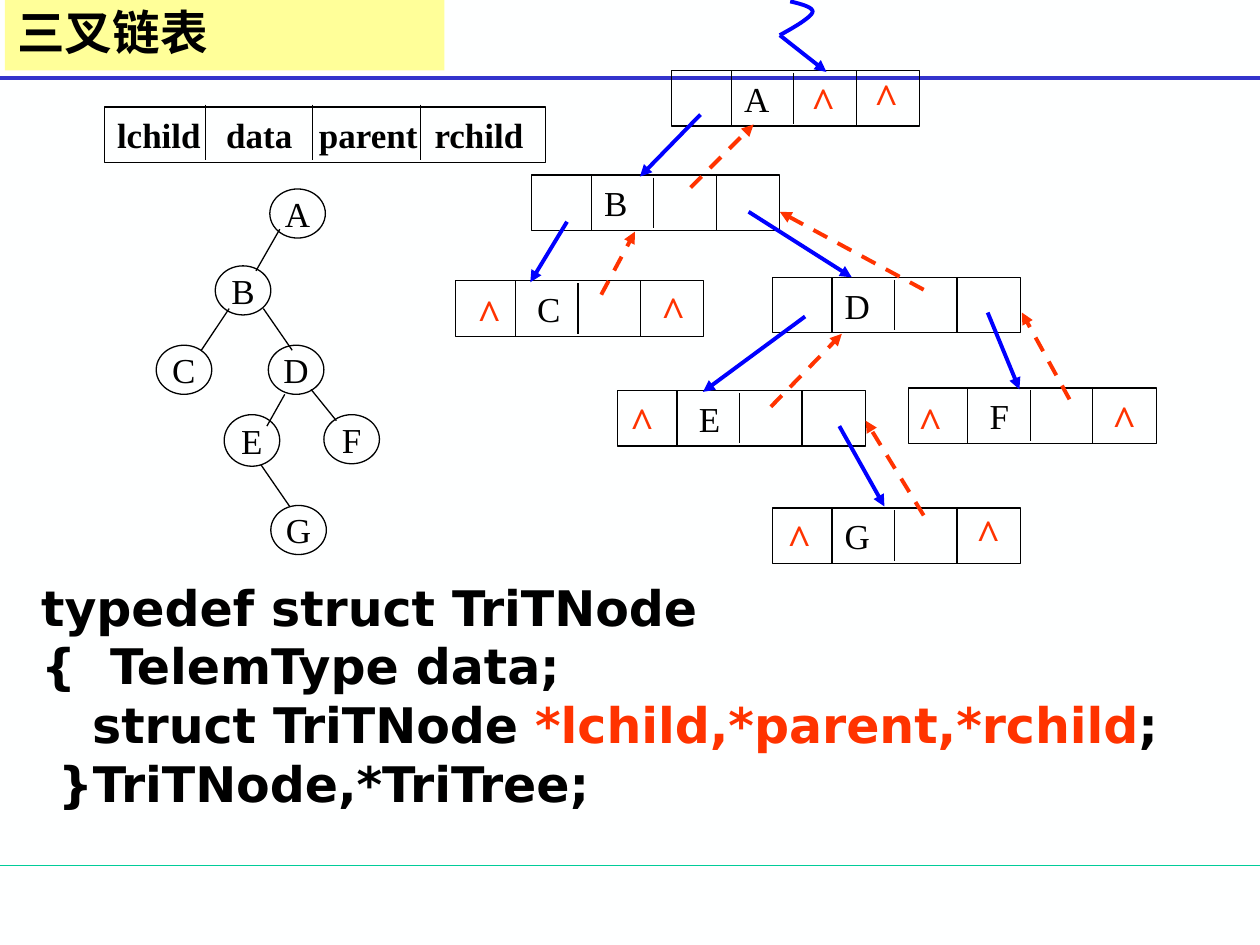
import dataclasses

import lxml.etree
import pptx
import pptx.dml.color
import pptx.enum.dml
import pptx.enum.shapes
import pptx.enum.text
import pptx.oxml.ns
import pptx.util

Cm = pptx.util.Cm
Pt = pptx.util.Pt
ALIGN = pptx.enum.text.PP_ALIGN
ANCHOR = pptx.enum.text.MSO_ANCHOR
SHAPE = pptx.enum.shapes.MSO_SHAPE


@dataclasses.dataclass(frozen=True)
class Theme:
    background: str = "FEFFFF"
    ink: str = "000000"
    title_fill: str = "FFFF99"
    title_rule: str = "3333CC"
    footer_rule: str = "00CC99"
    child: str = "0000FF"
    parent: str = "FF3300"
    serif: str = "Times New Roman"
    sans: str = "DejaVu Sans"
    chinese: str = "Noto Sans CJK SC"
    title_size: float = 27.2
    label_size: float = 20
    null_size: float = 24
    code_size: float = 28
    thin: float = 0.75
    thick: float = 2.25


THEME = Theme()

# letter: (left, top, height)
TREE_NODES = {
    "A": (5.44, 3.81, 0.99), "B": (4.34, 5.36, 0.99), "C": (3.15, 6.96, 0.99),
    "D": (5.41, 6.96, 0.99), "E": (4.52, 8.36, 1.04), "F": (6.53, 8.36, 0.99),
    "G": (5.46, 10.19, 0.99),
}
TREE_EDGES = [
    (5.64, 4.62, 5.16, 5.46), (4.62, 6.22, 4.06, 7.06), (5.31, 6.22, 5.89, 7.06),
    (5.74, 7.95, 5.38, 8.59), (6.27, 7.85, 6.78, 8.48), (5.26, 9.37, 5.84, 10.21),
]
# letter: (left, top, letter inset)
LIST_NODES = {
    "A": (13.54, 1.42, 1.46), "B": (10.72, 3.53, 1.46), "C": (9.19, 5.66, 1.64),
    "D": (15.57, 5.59, 1.46), "E": (12.45, 7.87, 1.64), "F": (18.31, 7.82, 1.64),
    "G": (15.57, 10.24, 1.46),
}
NULL_MARKS = [
    (16.1, 1.4), (17.37, 1.32), (9.37, 5.66), (13.08, 5.61), (12.45, 7.85),
    (18.26, 7.85), (22.17, 7.8), (15.62, 10.21), (19.43, 10.11),
]
CHILD_ARROWS = [
    (14.12, 2.31, 12.9, 3.56), (11.43, 4.47, 10.69, 5.69), (16.23, 6.38, 14.17, 7.9),
    (15.09, 4.27, 17.17, 5.59), (19.91, 6.3, 20.55, 7.85), (16.92, 8.59, 17.83, 10.21),
    (15.72, 0.71, 16.66, 1.45),
]
PARENT_ARROWS = [
    (13.92, 3.78, 15.19, 2.51), (12.12, 5.94, 12.8, 4.67), (18.62, 5.84, 15.72, 4.27),
    (15.54, 8.2, 16.97, 6.73), (18.62, 10.39, 17.45, 8.48), (21.56, 8.05, 20.6, 6.3),
]
ROOT_CURVE = [
    [(15.93, 0.03), (16.15, 0.08), (16.41, 0.15), (16.38, 0.25)],
    [(16.38, 0.25), (16.33, 0.38), (15.85, 0.64), (15.72, 0.71)],
]


def rgb(color):
    return pptx.dml.color.RGBColor.from_string(color)


def add_xml(parent, tag, **attributes):
    return lxml.etree.SubElement(parent, pptx.oxml.ns.qn(tag), **attributes)


def add_run(paragraph, text, size, font, color=THEME.ink, bold=False):
    run = paragraph.add_run()
    run.text = text
    run.font.size = Pt(size)
    run.font.name = font
    run.font.bold = bold
    run.font.color.rgb = rgb(color)
    add_xml(run.font._element, "a:ea", typeface=font)


def add_box(slide, kind, left, top, width, height, fill=None, line=THEME.ink):
    shape = slide.shapes.add_shape(kind, Cm(left), Cm(top), Cm(width), Cm(height))
    shape.shadow.inherit = False
    if fill:
        shape.fill.solid()
        shape.fill.fore_color.rgb = rgb(fill)
    else:
        shape.fill.background()
    if line:
        shape.line.color.rgb = rgb(line)
        shape.line.width = Pt(THEME.thin)
    else:
        shape.line.fill.background()
    return shape


def first_paragraph(shape, align=ALIGN.LEFT, anchor=ANCHOR.MIDDLE, wrap=False):
    """Set up the text frame and return its first paragraph."""
    frame = shape.text_frame
    frame.word_wrap = wrap
    frame.vertical_anchor = anchor
    frame.paragraphs[0].alignment = align
    return frame.paragraphs[0]


def add_line(slide, ends, color=THEME.ink, width=THEME.thin, arrow=False, dashed=False):
    connector = slide.shapes.add_connector(
        pptx.enum.shapes.MSO_CONNECTOR.STRAIGHT, *map(Cm, ends))
    connector.line.color.rgb = rgb(color)
    connector.line.width = Pt(width)
    if dashed:
        connector.line.dash_style = pptx.enum.dml.MSO_LINE.DASH
    if arrow:
        add_xml(connector.line._get_or_add_ln(), "a:tailEnd", type="triangle")
    add_xml(connector._element.spPr, "a:effectLst")


def add_title(slide):
    box = add_box(slide, SHAPE.RECTANGLE, 0.1, 0, 8.86, 1.42, THEME.title_fill, None)
    paragraph = first_paragraph(box, wrap=True)
    paragraph.line_spacing = 0.9
    add_run(paragraph, "三叉链表", THEME.title_size, THEME.chinese, bold=True)


def add_tree_node(slide, letter, left, top, height):
    circle = add_box(slide, SHAPE.OVAL, left, top, 1.12, height)
    add_run(first_paragraph(circle, ALIGN.CENTER), letter, THEME.label_size, THEME.serif)


def add_list_node(slide, letter, left, top, inset):
    box = add_box(slide, SHAPE.RECTANGLE, left, top, 5, 1.12)
    box.text_frame.margin_left = Cm(inset)
    add_run(first_paragraph(box), letter, THEME.label_size, THEME.serif)
    for offset, gap in ((1.2, 0), (2.46, 0.05), (3.72, 0)):
        x = left + offset
        add_line(slide, (x, top + gap, x, top + 1.12 - gap))


def add_null_mark(slide, left, top):
    box = slide.shapes.add_textbox(Cm(left), Cm(top), Cm(0.99), Cm(1.27))
    add_run(first_paragraph(box, ALIGN.CENTER), "^", THEME.null_size, THEME.serif,
            THEME.parent, True)


def add_curve(slide, segments, steps=12):
    """Draw cubic Bezier segments as one smooth open outline."""
    points = []
    for start, first, second, end in segments:
        for step in range(1, steps + 1):
            t = step / steps
            weights = ((1 - t) ** 3, 3 * t * (1 - t) ** 2, 3 * t * t * (1 - t), t ** 3)
            points.append(tuple(
                Cm(sum(w * p[axis] for w, p in zip(weights, (start, first, second, end))))
                for axis in (0, 1)))
    builder = slide.shapes.build_freeform(*map(Cm, segments[0][0]))
    builder.add_line_segments(points, close=False)
    curve = builder.convert_to_shape()
    curve.shadow.inherit = False
    curve.fill.background()
    curve.line.color.rgb = rgb(THEME.child)
    curve.line.width = Pt(THEME.thick)


def add_field_header(slide):
    box = add_box(slide, SHAPE.RECTANGLE, 2.11, 2.16, 8.89, 1.12)
    paragraph = first_paragraph(box, wrap=True)
    tabs = add_xml(paragraph._p.get_or_add_pPr(), "a:tabLst")
    for stop in (2.2, 4.07, 6.4):
        add_xml(tabs, "a:tab", pos=str(Cm(stop)), algn="l")
    add_run(paragraph, "lchild\tdata\tparent\trchild", THEME.label_size, THEME.serif, bold=True)
    for x in (4.14, 6.3, 8.48):
        add_line(slide, (x, 2.11, x, 3.22))


def add_code(slide):
    box = slide.shapes.add_textbox(Cm(0.58), Cm(11.51), Cm(23.7), Cm(5))
    paragraph = first_paragraph(box, anchor=ANCHOR.TOP, wrap=True)
    lines = [
        [("typedef struct TriTNode", THEME.ink)],
        [("{  TelemType data;", THEME.ink)],
        [("   struct TriTNode ", THEME.ink), ("*lchild,*parent,*rchild", THEME.parent),
         (";", THEME.ink)],
        [(" }TriTNode,*TriTree;", THEME.ink)],
    ]
    for index, line in enumerate(lines):
        if index:
            paragraph.add_line_break()
        for text, color in line:
            add_run(paragraph, text, THEME.code_size, THEME.sans, color, True)


def main():
    presentation = pptx.Presentation()
    presentation.slide_width, presentation.slide_height = Cm(25.4), Cm(19.05)
    slide = presentation.slides.add_slide(presentation.slide_layouts[6])
    slide.background.fill.solid()
    slide.background.fill.fore_color.rgb = rgb(THEME.background)

    add_line(slide, (0, 17.45, 25.4, 17.45), THEME.footer_rule)
    add_line(slide, (0, 1.57, 25.4, 1.57), THEME.title_rule, THEME.thick)
    add_title(slide)
    for letter, place in TREE_NODES.items():
        add_tree_node(slide, letter, *place)
    for ends in TREE_EDGES:
        add_line(slide, ends)
    for letter, place in LIST_NODES.items():
        add_list_node(slide, letter, *place)
    for ends in CHILD_ARROWS:
        add_line(slide, ends, THEME.child, THEME.thick, arrow=True)
    for ends in PARENT_ARROWS:
        add_line(slide, ends, THEME.parent, THEME.thick, arrow=True, dashed=True)
    add_curve(slide, ROOT_CURVE)
    for place in NULL_MARKS:
        add_null_mark(slide, *place)
    add_field_header(slide)
    add_code(slide)
    presentation.save("out.pptx")


if __name__ == "__main__":
    main()
